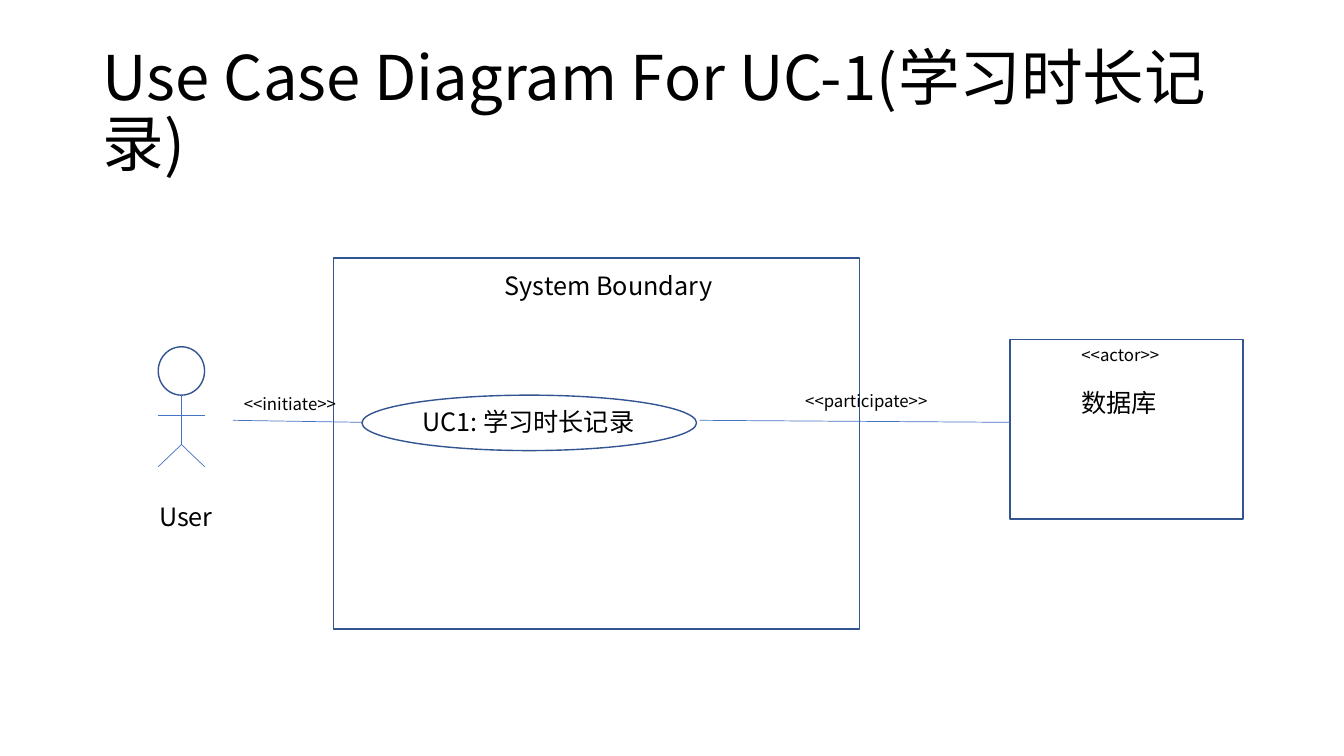
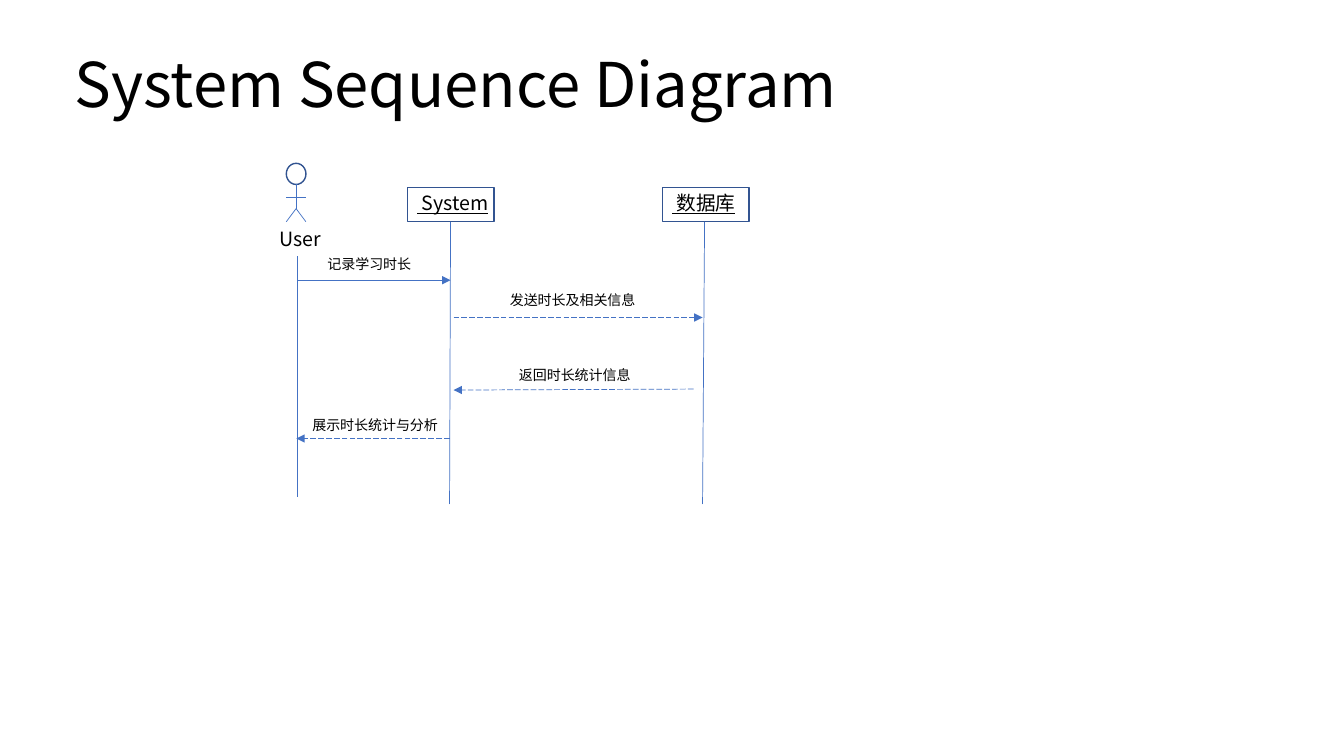
"""Build a use case diagram and a system sequence diagram."""
from dataclasses import dataclass

from lxml import etree
from pptx import Presentation
from pptx import util as u
from pptx.dml.color import RGBColor
from pptx.enum import dml, shapes, text
from pptx.oxml.ns import qn

# The grid has ten columns and ten rows to the inch.
CELL = u.Inches(0.1)
COLUMNS, ROWS = 133.33, 75
FONT = "Noto Sans CJK SC"
COLOURS = {"paper": "FFFFFF", "ink": "000000", "outline": "325491", "link": "4472C4"}
TITLE_SIZE = 44
TITLE_SPAN = (115, 14.5)
LABEL_ROWS = {10: 2.7, 12: 3, 14: 3.4, 18: 4}
RECTANGLE = shapes.MSO_SHAPE.RECTANGLE
OVAL = shapes.MSO_SHAPE.OVAL


@dataclass(frozen=True)
class Frame:
    """An outlined preset shape on the grid."""
    kind: shapes.MSO_SHAPE
    column: float
    row: float
    columns: float
    rows: float


@dataclass(frozen=True)
class Label:
    """A line of text on the grid; its height follows from its size."""
    words: str
    column: float
    row: float
    columns: float
    size: int
    underline: bool = False


@dataclass(frozen=True)
class Link:
    """A thin line between two grid points."""
    start: tuple[float, float]
    end: tuple[float, float]
    dashed: bool = False
    arrow: bool = False


@dataclass(frozen=True)
class Actor:
    """A stick figure: its head, then the rows of arms, hips and feet."""
    head: Frame
    arms: float
    hips: float
    feet: float


@dataclass(frozen=True)
class Participant:
    """A boxed name with a lifeline below it."""
    name: str
    column: float
    lifeline: Link


def cells(count: float) -> u.Emu:
    """Turn grid cells into a length."""
    return u.Emu(round(count * CELL))


def colour(name: str) -> RGBColor:
    """Look up a colour by its role."""
    return RGBColor.from_string(COLOURS[name])


def write(box, words: str, *, size: int, underline: bool = False,
          spacing: float | None = None) -> None:
    """Put one formatted paragraph into a box."""
    box.text_frame.word_wrap = True
    para = box.text_frame.paragraphs[0]
    para.alignment = text.PP_ALIGN.LEFT
    if spacing:
        para.line_spacing = spacing
    span = para.add_run()
    span.text = words
    span.font.name = FONT
    span.font.size = u.Pt(size)
    span.font.color.rgb = colour("ink")
    if underline:
        span.font.underline = True
    latin = span.font._element.find(qn("a:latin"))
    east_asian = etree.Element(qn("a:ea"), typeface=FONT)
    latin.addnext(east_asian)


def add_page(deck, title: str, column: float, row: float):
    """Add a title-only page and place its title."""
    page = deck.slides.add_slide(deck.slide_layouts[5])
    page.background.fill.solid()
    page.background.fill.fore_color.rgb = colour("paper")
    box = page.shapes.title
    box.left, box.top = cells(column), cells(row)
    box.width, box.height = map(cells, TITLE_SPAN)
    box.text_frame.auto_size = text.MSO_AUTO_SIZE.NONE
    box.text_frame.vertical_anchor = text.MSO_ANCHOR.MIDDLE
    write(box, title, size=TITLE_SIZE, spacing=0.9)
    return page


def draw_frame(page, frame: Frame) -> None:
    """Draw an outlined shape."""
    shape = page.shapes.add_shape(
        frame.kind, *map(cells, (frame.column, frame.row, frame.columns, frame.rows)))
    shape.shadow.inherit = False
    shape.fill.solid()
    shape.fill.fore_color.rgb = colour("paper")
    shape.line.color.rgb = colour("outline")
    shape.line.width = u.Pt(1)


def draw_label(page, label: Label) -> None:
    """Draw a text box that grows with its text."""
    box = page.shapes.add_textbox(
        *map(cells, (label.column, label.row, label.columns, LABEL_ROWS[label.size])))
    box.text_frame.auto_size = text.MSO_AUTO_SIZE.SHAPE_TO_FIT_TEXT
    write(box, label.words, size=label.size, underline=label.underline)


def draw_link(page, link: Link) -> None:
    """Draw a line, dashed or with an arrowhead where asked."""
    connector = page.shapes.add_connector(
        shapes.MSO_CONNECTOR.STRAIGHT, *map(cells, link.start + link.end))
    connector.line.color.rgb = colour("link")
    connector.line.width = u.Pt(0.5)
    if link.dashed:
        connector.line.dash_style = dml.MSO_LINE.LONG_DASH
    properties = connector._element.spPr
    if link.arrow:
        etree.SubElement(properties.find(qn("a:ln")), qn("a:tailEnd"), type="triangle")
    etree.SubElement(properties, qn("a:effectLst"))


def draw_actor(page, actor: Actor) -> None:
    """Draw a stick figure centred under its head."""
    head = actor.head
    left, right = head.column, head.column + head.columns
    middle = (left + right) / 2
    hips = (middle, actor.hips)
    draw_frame(page, head)
    draw_link(page, Link((left, actor.arms), (right, actor.arms)))
    draw_link(page, Link((middle, head.row + head.rows), hips))
    for foot in (left, right):
        draw_link(page, Link(hips, (foot, actor.feet)))


def draw_participant(page, participant: Participant) -> None:
    """Draw a participant's box, underlined name and lifeline."""
    column = participant.column
    draw_frame(page, Frame(RECTANGLE, column, 18.6, 8.6, 3.4))
    draw_label(page, Label(participant.name, column, 18.4, 12.5, 14, underline=True))
    draw_link(page, participant.lifeline)


def build_use_case(deck) -> None:
    """Build the use case page."""
    page = add_page(deck, "Use Case Diagram For UC-1(学习时长记录)", 9.2, 4)
    boundary = Frame(RECTANGLE, 33.1, 25.6, 52.2, 36.8)
    use_case = Frame(OVAL, 35.9, 39.2, 33.2, 5.5)
    database = Frame(RECTANGLE, 100.2, 33.7, 23.1, 17.8)
    for frame in (boundary, use_case, database):
        draw_frame(page, frame)
    draw_actor(page, Actor(Frame(OVAL, 15.7, 34.4, 4.6, 4.8), 41.2, 44.1, 46.3))
    for start, end in ((23.1, use_case.column), (69.4, database.column)):
        draw_link(page, Link((start, 41.7), (end, 41.9)))
    for label in (
        Label("User", 14.8, 49.2, 8.8, 18),
        Label("UC1: 学习时长记录", 40.9, 39.8, 31.1, 18),
        Label("<<initiate>>", 23.2, 38.6, 12.7, 12),
        Label("System Boundary", 49.1, 26.3, 25.8, 18),
        Label("<<participate>>", 78.9, 38.3, 17, 12),
        Label("<<actor>>", 106.3, database.row, 17, 12),
        Label("数据库", 106.3, 37.9, 11.4, 18),
    ):
        draw_label(page, label)


def build_sequence(deck) -> None:
    """Build the sequence page."""
    page = add_page(deck, "System Sequence Diagram", 6.4, 1.4)
    draw_actor(page, Actor(Frame(OVAL, 28.4, 16.2, 1.95, 2.1), 19.6, 20.7, 22))
    draw_label(page, Label("User", 26.7, 22, 7.4, 14))
    draw_link(page, Link((29.5, 25.4), (29.5, 49.3)))
    for participant in (
        Participant(" System", 40.4, Link((44.7, 22), (44.6, 50))),
        Participant(" 数据库", 65.7, Link((69.9, 22), (69.7, 50))),
    ):
        draw_participant(page, participant)
    messages = (
        (Label("记录学习时长", 31.5, 24.9, 12.5, 10),
         Link((29.5, 27.8), (44.7, 27.8), arrow=True)),
        (Label("发送时长及相关信息", 49.6, 28.4, 20.7, 10),
         Link((45, 31.5), (69.7, 31.5), dashed=True, arrow=True)),
        (Label("返回时长统计信息", 50.5, 35.9, 20.7, 10),
         Link((68.8, 38.6), (45, 38.7), dashed=True, arrow=True)),
        (Label("展示时长统计与分析", 30, 40.8, 15.2, 10),
         Link((44.6, 43.5), (29.4, 43.5), dashed=True, arrow=True)),
    )
    for label, link in messages:
        draw_link(page, link)
        draw_label(page, label)


def main() -> None:
    """Build and save the deck."""
    deck = Presentation()
    deck.slide_width, deck.slide_height = cells(COLUMNS), cells(ROWS)
    build_use_case(deck)
    build_sequence(deck)
    deck.save("out.pptx")


main()
